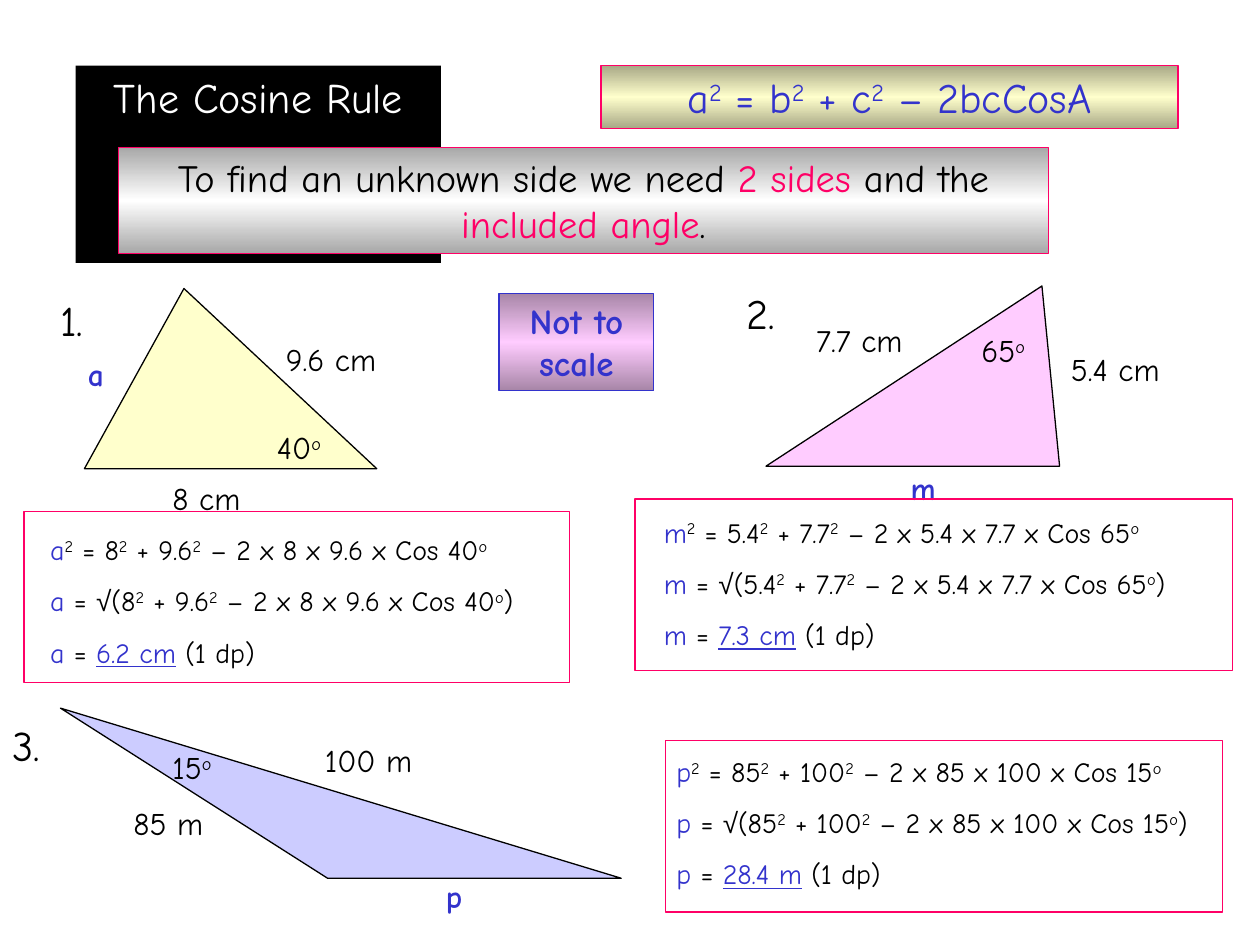
from copy import deepcopy
from dataclasses import dataclass
from typing import NamedTuple

from pptx import Presentation
from pptx.dml.color import RGBColor
from pptx.enum.shapes import MSO_SHAPE
from pptx.enum.text import MSO_ANCHOR, MSO_AUTO_SIZE, PP_ALIGN
from pptx.oxml.ns import qn
from pptx.util import Inches, Pt


@dataclass(frozen=True)
class Theme:
    font: str = "Comic Neue"
    symbol_font: str = "Arial"
    black: str = "000000"
    white: str = "FFFFFF"
    blue: str = "3333CC"
    pink: str = "FF0066"
    heading: int = 24
    rule: int = 22
    note: int = 20
    label: int = 18
    working: int = 16
    line: float = 0.75


T = Theme()
CENTER = PP_ALIGN.CENTER


class Box(NamedTuple):
    x: float
    y: float
    w: float
    h: float


class Run(NamedTuple):
    text: str
    color: str = T.black
    fmt: dict = {}
    sup: bool = False


@dataclass(frozen=True)
class Problem:
    number: str
    unknown: str
    sides: tuple
    angle: str
    unit: str
    result: str
    fill: str
    corners: tuple
    number_at: tuple
    unknown_at: tuple
    sides_at: tuple
    angle_at: tuple
    working: Box
    frame: Box


PROBLEMS = [
    Problem("1.", "a", ("8", "9.6"), "40", "cm", "6.2", "FFFFCC",
            ((0.67, 3.72), (2.99, 3.72), (1.46, 2.29)),
            (0.38, 2.29), (0.6, 2.77), ((1.27, 3.75), (2.17, 2.65)), (2.1, 3.35),
            Box(0.3, 4.18, 4.46, 1.18), Box(0.19, 4.06, 4.33, 1.36)),
    Problem("2.", "m", ("5.4", "7.7"), "65", "cm", "7.3", "FFCCFF",
            ((6.08, 3.7), (8.41, 3.7), (8.27, 2.27)),
            (5.83, 2.23), (7.13, 3.67), ((8.4, 2.73), (6.38, 2.5)), (7.69, 2.58),
            Box(5.17, 4.04, 5.06, 1.18), Box(5.04, 3.96, 4.74, 1.36)),
    Problem("3.", "p", ("85", "100"), "15", "m", "28.4", "CCCCFF",
            ((2.6, 6.97), (4.93, 6.97), (0.48, 5.62)),
            (0, 5.66), (3.44, 6.91), ((0.96, 6.33), (2.48, 5.83)), (1.27, 5.89),
            Box(5.27, 5.94, 5.06, 1.18), Box(5.28, 5.88, 4.42, 1.36)),
]


def rgb(color: str) -> RGBColor:
    return RGBColor.from_string(color)


def powers(text: str, color: str = T.black) -> list[Run]:
    return [Run(part, color, sup=i % 2 == 1)
            for i, part in enumerate(text.split("|")) if part]


def write(sp, paragraphs: list, size: float, align=PP_ALIGN.LEFT, gap: float = 0) -> None:
    tf = sp.text_frame
    frame_format = {"word_wrap": True, "vertical_anchor": MSO_ANCHOR.TOP,
                    "auto_size": MSO_AUTO_SIZE.SHAPE_TO_FIT_TEXT}
    for name, value in frame_format.items():
        setattr(tf, name, value)
    for i, runs in enumerate(paragraphs):
        p = tf.add_paragraph() if i else tf.paragraphs[0]
        p.alignment = align
        if i:
            p.space_before = Pt(gap)
        for run in runs:
            r = p.add_run()
            r.text = run.text
            base = {"name": T.font, "size": Pt(size)}
            for name, value in (base | run.fmt).items():
                setattr(r.font, name, value)
            r.font.color.rgb = rgb(run.color)
            if run.sup:
                r._r.get_or_add_rPr().set("baseline", "30000")


def add_text(s, box: Box, paragraphs: list, size: float, gap: float = 0) -> None:
    write(s.shapes.add_textbox(*map(Inches, box)), paragraphs, size, gap=gap)


def outline(sp, color: str) -> None:
    sp.shadow.inherit = False
    sp.line.color.rgb = rgb(color)
    sp.line.width = Pt(T.line)


def add_rect(s, box: Box, color: str):
    sp = s.shapes.add_shape(MSO_SHAPE.RECTANGLE, *map(Inches, box))
    outline(sp, color)
    return sp


def add_banner(s, box: Box, edge: str, middle: str, border: str,
               runs: list[Run], size: float) -> None:
    sp = add_rect(s, box, border)
    sp.fill.gradient()
    sp.fill.gradient_angle = 90
    stops = sp._element.spPr.find(qn("a:gradFill")).find(qn("a:gsLst"))
    stops.append(deepcopy(stops[0]))
    for stop, position, color in zip(sp.fill.gradient_stops, (0, 0.5, 1), (edge, middle, edge)):
        stop.position = position
        stop.color.rgb = rgb(color)
    write(sp, [runs], size, CENTER)


def add_triangle(s, corners: tuple, fill: str) -> None:
    points = [(Inches(x), Inches(y)) for x, y in corners]
    builder = s.shapes.build_freeform(*points[0])
    builder.add_line_segments(points[1:], close=True)
    sp = builder.convert_to_shape()
    sp.fill.solid()
    sp.fill.fore_color.rgb = rgb(fill)
    outline(sp, T.black)


def add_problem(s, q: Problem) -> None:
    add_triangle(s, q.corners, q.fill)
    add_text(s, Box(*q.number_at, 0.54, 0.5), [[Run(q.number)]], T.heading)
    labels = [(q.unknown_at, [Run(q.unknown, T.blue, {"bold": True})]),
              (q.angle_at, powers(f"{q.angle}|o"))]
    labels += [(at, [Run(f"{side} {q.unit}")]) for at, side in zip(q.sides_at, q.sides)]
    for at, runs in labels:
        add_text(s, Box(*at, 1.27, 0.4), [runs], T.label)

    b, c = q.sides
    terms = f"{b}|2| + {c}|2| – 2 x {b} x {c} x Cos {q.angle}|o|"
    unknown = Run(q.unknown, T.blue)
    add_text(s, q.working, [
        [unknown, *powers(f"|2| = {terms}")],
        [unknown, Run(" = "), Run("√", fmt={"name": T.symbol_font}), *powers(f"({terms})")],
        [unknown, Run(" = "), Run(f"{q.result} {q.unit}", T.blue, {"underline": True}),
         Run(" (1 dp)")],
    ], T.working, gap=10)
    add_rect(s, q.frame, T.pink).fill.background()


def add_title(s, box: Box, text: str) -> None:
    sp = s.shapes.title
    for name, value in zip(("left", "top", "width", "height"), box):
        setattr(sp, name, Inches(value))
    sp.fill.solid()
    sp.fill.fore_color.rgb = rgb(T.black)
    write(sp, [[Run(text, T.white)]], T.heading, CENTER)


def main() -> None:
    prs = Presentation()
    prs.slide_width, prs.slide_height = Inches(10), Inches(7.5)
    s = prs.slides.add_slide(prs.slide_layouts[5])
    add_title(s, Box(0.6, 0.52, 2.9, 0.5), "The Cosine Rule")
    add_banner(s, Box(4.77, 0.52, 4.58, 0.5), "A8A886", "FFFFCC", T.pink,
               powers("a|2| = b|2| + c|2| – 2bcCosA", T.blue), T.heading)
    add_banner(s, Box(0.94, 1.17, 7.38, 0.84), "A8A8A8", "FFFFFF", T.pink,
               [Run("To find an unknown side we need "), Run("2 sides", T.pink),
                Run(" and the "), Run("included angle", T.pink), Run(".")], T.rule)
    add_banner(s, Box(3.96, 2.33, 1.23, 0.77), "A886A8", "FFCCFF", T.blue,
               [Run("Not to scale", T.blue, {"bold": True})], T.note)
    for q in PROBLEMS:
        add_problem(s, q)
    prs.save("out.pptx")


if __name__ == "__main__":
    main()
